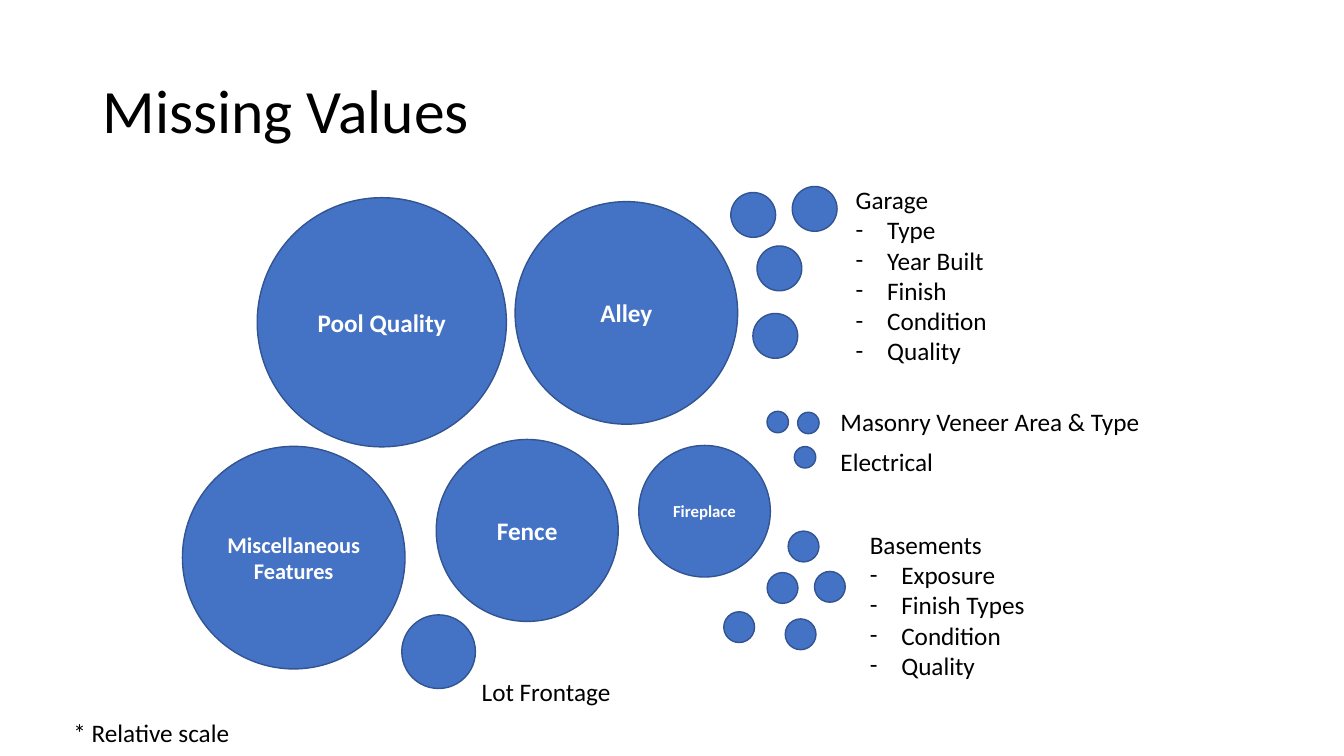
from lxml import etree
from pptx import Presentation
from pptx.dml.color import RGBColor
from pptx.enum.shapes import MSO_SHAPE
from pptx.enum.text import MSO_ANCHOR, MSO_AUTO_SIZE, PP_ALIGN
from pptx.oxml.ns import qn
from pptx.util import Pt

OVAL = MSO_SHAPE.OVAL
MIDDLE = MSO_ANCHOR.MIDDLE
LEFT, CENTER = PP_ALIGN.LEFT, PP_ALIGN.CENTER
GROW = MSO_AUTO_SIZE.SHAPE_TO_FIT_TEXT


def style_text(paragraph, size, color, bold=False):
    for run in paragraph.runs:
        run.font.name = "Calibri"
        run.font.size = Pt(size)
        run.font.bold = bold
        run.font.color.rgb = RGBColor.from_string(color)


def add_bubble(shapes, left, top, diameter):
    bubble = shapes.add_shape(OVAL, Pt(left), Pt(top), Pt(diameter), Pt(diameter))
    bubble.shadow.inherit = False
    bubble.fill.solid()
    bubble.fill.fore_color.rgb = RGBColor.from_string("4472C4")
    bubble.line.color.rgb = RGBColor.from_string("325491")
    bubble.line.width = Pt(1)
    return bubble


prs = Presentation()
prs.slide_width, prs.slide_height = Pt(960), Pt(540)
slide = prs.slides.add_slide(prs.slide_layouts[5])

title = slide.shapes.title
title.left, title.top, title.width, title.height = Pt(66), Pt(28.8), Pt(828), Pt(104.4)
title.text_frame.text = "Missing Values"
title.text_frame.vertical_anchor = MIDDLE
heading = title.text_frame.paragraphs[0]
heading.alignment = LEFT
heading.line_spacing = 0.9
style_text(heading, 44, "000000")

features = [
    ("Pool Quality", 183.7, 141.2, 178, 18),
    ("Miscellaneous Features", 130.3, 318.8, 159, 16),
    ("Alley", 367.9, 144, 159, 18),
    ("Fence", 311.6, 313.9, 130, 18),
    ("Fireplace", 456.3, 318.2, 94, 12),
    ("", 287, 439.2, 52.6, 18),
]
for name, left, top, diameter, size in features:
    frame = add_bubble(slide.shapes, left, top, diameter).text_frame
    frame.text = name
    frame.vertical_anchor = MIDDLE
    frame.paragraphs[0].alignment = CENTER
    style_text(frame.paragraphs[0], size, "FFFFFF", True)

clusters = [
    (22, [(517, 437), (548, 409), (581.8, 408.2), (563, 379.4), (560.9, 442.1)],
     [(614.2, 374.4, 126, 116.6,
       ["Basements", "Exposure", "Finish Types", "Condition", "Quality"])]),
    (32, [(540.7, 175.7), (537.8, 223.9), (522, 137.5), (565.9, 133.2)],
     [(604.1, 128.2, 109.4, 138.2,
       ["Garage", "Type", "Year Built", "Finish", "Condition", "Quality"])]),
    (0, [], [(337, 479.5, 107.3, 28.8, ["Lot Frontage"])]),
    (15.3, [(547.9, 293.8), (569.8, 294.5), (567.4, 319)],
     [(593.3, 286.6, 230.4, 28.8, ["Masonry Veneer Area & Type"]),
      (593.3, 315.4, 81.4, 28.8, ["Electrical"])]),
    (0, [], [(45.4, 509, 127.4, 28.8, ["* Relative scale"])]),
]
for diameter, dots, labels in clusters:
    shapes = slide.shapes.add_group_shape().shapes if dots else slide.shapes
    for left, top in dots:
        add_bubble(shapes, left, top, diameter)
    for left, top, width, height, lines in labels:
        label = shapes.add_textbox(Pt(left), Pt(top), Pt(width), Pt(height))
        frame = label.text_frame
        frame.text = "\n".join(lines)
        frame.word_wrap = False
        frame.auto_size = GROW
        for paragraph in frame.paragraphs:
            style_text(paragraph, 18, "000000")
        for item in frame.paragraphs[1:]:
            properties = item._p.get_or_add_pPr()
            properties.set("marL", str(Pt(22.5)))
            properties.set("indent", str(-Pt(22.5)))
            etree.SubElement(properties, qn("a:buFont"), typeface="Calibri")
            etree.SubElement(properties, qn("a:buChar"), char="-")

prs.save("out.pptx")
